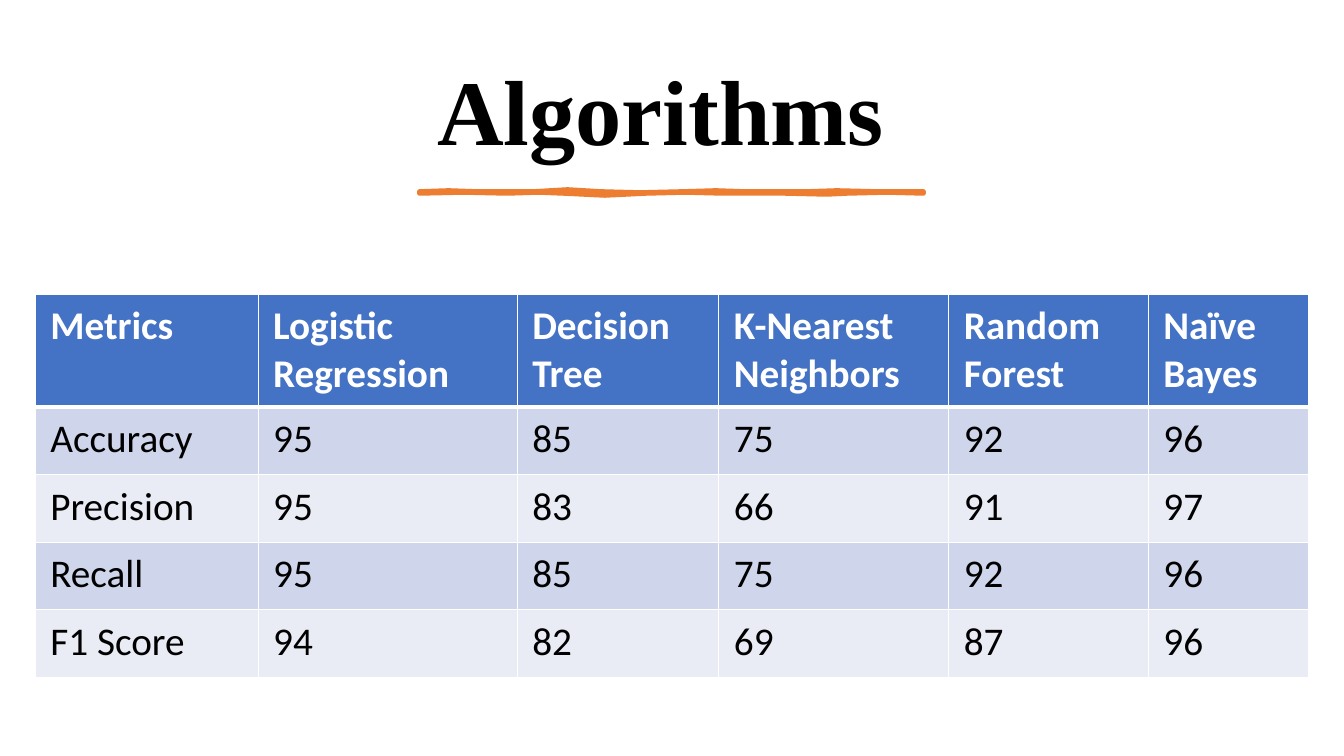
from lxml import etree
from pptx import Presentation
from pptx.dml.color import RGBColor
from pptx.enum.text import MSO_ANCHOR, MSO_AUTO_SIZE, PP_ALIGN
from pptx.oxml.ns import qn
from pptx.util import Pt

PX = 9144  # EMU, 100 px to the inch
CENTER = PP_ALIGN.CENTER
MIDDLE = MSO_ANCHOR.MIDDLE
NO_FIT = MSO_AUTO_SIZE.NONE
COLORS = {
    "text": "000000",
    "white": "FFFFFF",
    "underline": "ED7D31",
    "header": "4472C4",
    "odd": "CFD5EA",
    "even": "E9EBF5",
}


def color(name):
    return RGBColor.from_string(COLORS[name])


def add_border(cell, side, width):
    ln = etree.SubElement(cell._tc.get_or_add_tcPr(), qn(f"a:ln{side}"), w=str(Pt(width)))
    fill = etree.SubElement(ln, qn("a:solidFill"))
    etree.SubElement(fill, qn("a:srgbClr"), val=COLORS["white"])


prs = Presentation()
prs.slide_width, prs.slide_height = 1333 * PX, 750 * PX
s = prs.slides.add_slide(prs.slide_layouts[5])

# Title
title = s.shapes.title
title.left, title.top, title.width, title.height = 70 * PX, 46 * PX, 1193 * PX, 137 * PX
tf = title.text_frame
tf.text = "Algorithms "
tf.word_wrap = True
tf.auto_size = NO_FIT
tf.vertical_anchor = MIDDLE
p = tf.paragraphs[0]
p.alignment = CENTER
p.line_spacing = 0.9
font = p.runs[0].font
font.name, font.size, font.bold = "Times New Roman", Pt(66), True
font.color.rgb = color("text")

# Hand-drawn underline
top_edge = [(416, 190), (445, 189), (473, 190), (529, 190), (563, 188), (596, 190),
            (635, 191), (677, 190), (710, 189), (739, 190), (800, 190), (830, 189),
            (870, 190), (916, 190)]
bottom_edge = [(916, 192), (880, 191), (840, 192), (820, 193), (779, 192), (717, 192),
               (680, 191), (641, 192), (600, 194), (559, 192), (534, 191), (503, 192),
               (460, 191), (416, 192)]
points = top_edge + bottom_edge
builder = s.shapes.build_freeform(*points[0], scale=PX)
builder.add_line_segments(points[1:], close=True)
underline = builder.convert_to_shape()
underline.shadow.inherit = False
underline.fill.solid()
underline.fill.fore_color.rgb = color("underline")
underline.line.color.rgb = color("underline")
underline.line.width = Pt(3.25)
etree.SubElement(underline.get_or_add_ln(), qn("a:round"))

# Metrics table
rows = [
    ["Metrics", "Logistic Regression", "Decision Tree", "K-Nearest Neighbors",
     "Random Forest", "Naïve Bayes"],
    ["Accuracy", "95", "85", "75", "92", "96"],
    ["Precision", "95", "83", "66", "91", "97"],
    ["Recall", "95", "85", "75", "92", "96"],
    ["F1 Score", "94", "82", "69", "87", "96"],
]
col_widths = [221, 257, 200, 228, 198, 159]
row_heights = [112] + [67] * 4
table = s.shapes.add_table(len(rows), len(col_widths), 35 * PX, 292 * PX,
                           sum(col_widths) * PX, sum(row_heights) * PX).table
for column, width in zip(table.columns, col_widths):
    column.width = width * PX
for i, (values, height) in enumerate(zip(rows, row_heights)):
    table.rows[i].height = height * PX
    is_header = i == 0
    fill_name = "header" if is_header else "odd" if i % 2 else "even"
    borders = {"L": 1, "R": 1, "T": 3 if i == 1 else 1, "B": 3 if is_header else 1}
    for j, value in enumerate(values):
        cell = table.cell(i, j)
        cell.text = value
        cell.margin_left = cell.margin_right = 15 * PX
        cell.margin_top = cell.margin_bottom = 8 * PX
        for side, width in borders.items():
            add_border(cell, side, width)
        cell.fill.solid()
        cell.fill.fore_color.rgb = color(fill_name)
        font = cell.text_frame.paragraphs[0].runs[0].font
        font.name, font.size, font.bold = "Calibri", Pt(28), is_header
        font.color.rgb = color("white" if is_header else "text")

prs.save("out.pptx")
